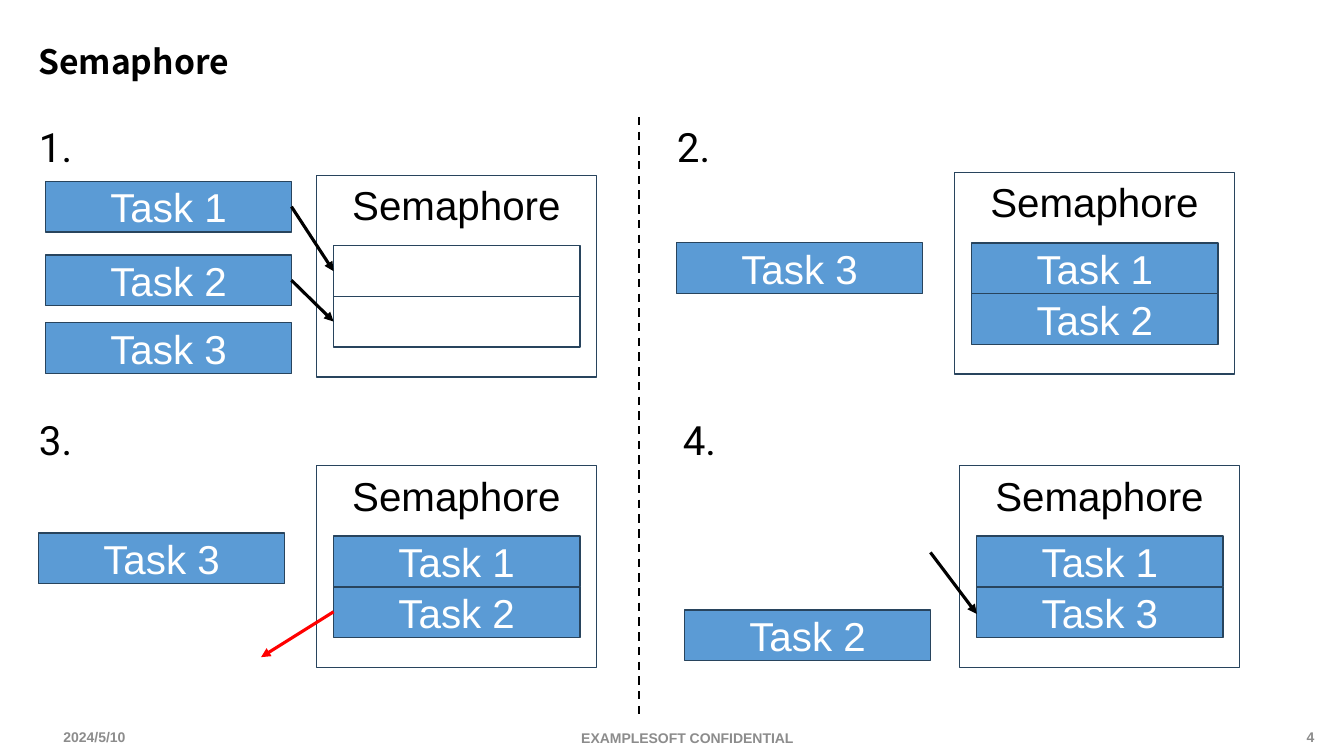
"""Build the Semaphore slide: four steps of tasks sharing two slots."""
from dataclasses import dataclass

import lxml.etree
import pptx
import pptx.dml.color
import pptx.enum.dml
import pptx.enum.shapes
import pptx.enum.text
import pptx.oxml
import pptx.oxml.ns
import pptx.presentation
import pptx.shapes.autoshape
import pptx.shapes.connector
import pptx.slide
import pptx.text.text
import pptx.util

Pt = pptx.util.Pt
Align = pptx.enum.text.PP_ALIGN
Anchor = pptx.enum.text.MSO_ANCHOR
Point = tuple[float, float]


@dataclass(frozen=True)
class Theme:
    black: str = "000000"
    white: str = "FFFFFF"
    task: str = "5B9BD5"
    outline: str = "28445D"
    release: str = "FF0000"
    muted: str = "8C8C8C"
    body_font: str = "Arial"
    title_font: str = "Noto Sans CJK KR"
    number_font: str = "Roboto"
    title_size: float = 24
    body_size: float = 28.8
    footer_size: float = 10


@dataclass(frozen=True)
class Style:
    font: str
    size: float
    color: str
    bold: bool = False
    align: Align = Align.CENTER
    anchor: Anchor = Anchor.MIDDLE


@dataclass(frozen=True)
class Caption:
    text: str
    left: float
    top: float
    width: float
    height: float
    style: Style
    wrap: bool = True


@dataclass(frozen=True)
class Task:
    name: str
    left: float
    top: float


@dataclass(frozen=True)
class Arrow:
    start: Point
    end: Point
    color: str


@dataclass(frozen=True)
class Step:
    number: str
    number_at: Point
    semaphore_at: Point
    slots: tuple[str, str]
    waiting: tuple[Task, ...]
    arrows: tuple[Arrow, ...]


THEME = Theme()
TASK_STYLE = Style(THEME.body_font, THEME.body_size, THEME.white)
SEMAPHORE_STYLE = Style(THEME.body_font, THEME.body_size, THEME.black, anchor=Anchor.TOP)
NUMBER_STYLE = Style(THEME.number_font, THEME.body_size, THEME.black, anchor=Anchor.TOP)
TITLE_STYLE = Style(THEME.title_font, THEME.title_size, THEME.black, True, Align.LEFT)
DATE_STYLE = Style(THEME.body_font, THEME.footer_size, THEME.muted, True, Align.LEFT)
NOTICE_STYLE = Style(THEME.body_font, THEME.footer_size, THEME.muted, True)
PAGE_STYLE = Style(THEME.body_font, THEME.footer_size, THEME.muted, True, Align.RIGHT)

SEMAPHORE_SIZE = (200, 144)
TASK_SIZE = (176, 36.2)
SLOT_INSET = (12.2, 50.2)
SLOT_PITCH = 36.3

CAPTIONS = (
    Caption("2024/5/10", 38.2, 517.7, 216, 18, DATE_STYLE),
    Caption("EXAMPLESOFT CONFIDENTIAL", 329, 518.4, 324, 17.3, NOTICE_STYLE),
    Caption("4", 730, 517.7, 216, 17.3, PAGE_STYLE),
    Caption("Semaphore", 20.2, 25.9, 745, 36, TITLE_STYLE),
)

STEPS = (
    Step("1.", (20.2, 83.5), (226, 125.3), ("", ""),
         (Task("Task 1", 32.4, 129.6), Task("Task 2", 32.4, 182.2), Task("Task 3", 32.4, 230.4)),
         (Arrow((208.2, 147.6), (238.3, 193.7), THEME.black),
          Arrow((208.2, 200.2), (238.3, 229.7), THEME.black))),
    Step("2.", (476, 83.5), (681.8, 123.3), ("Task 1", "Task 2"),
         (Task("Task 3", 483.1, 173.4),), ()),
    Step("3.", (20.2, 293), (226, 332.7), ("Task 1", "Task 2"),
         (Task("Task 3", 27.4, 380.8),),
         (Arrow((238.3, 437), (186.5, 469.4), THEME.release),)),
    Step("4.", (480.2, 293), (685.4, 332.7), ("Task 1", "Task 3"),
         (Task("Task 2", 488.8, 435.6),),
         (Arrow((664.6, 394.6), (697.7, 438.5), THEME.black),)),
)


def rgb(color: str) -> pptx.dml.color.RGBColor:
    """Turn a hexadecimal colour into a colour object."""
    return pptx.dml.color.RGBColor.from_string(color)


def write_text(frame: pptx.text.text.TextFrame, text: str, style: Style, wrap: bool = True) -> None:
    """Fill a text frame with one styled paragraph."""
    frame.word_wrap = wrap
    frame.vertical_anchor = style.anchor
    paragraph = frame.paragraphs[0]
    paragraph.text = text
    paragraph.alignment = style.align
    paragraph.font.name = style.font
    paragraph.font.size = Pt(style.size)
    paragraph.font.bold = style.bold
    paragraph.font.color.rgb = rgb(style.color)


def add_caption(slide: pptx.slide.Slide, caption: Caption) -> None:
    """Add a text box."""
    bounds = (caption.left, caption.top, caption.width, caption.height)
    box = slide.shapes.add_textbox(*map(Pt, bounds))
    write_text(box.text_frame, caption.text, caption.style, caption.wrap)


def add_box(slide: pptx.slide.Slide, at: Point, size: Point, fill: str, text: str, style: Style) -> None:
    """Add an outlined rectangle with an optional text."""
    shape = slide.shapes.add_shape(
        pptx.enum.shapes.MSO_SHAPE.RECTANGLE, *map(Pt, at + size))
    shape.shadow.inherit = False
    shape.fill.solid()
    shape.fill.fore_color.rgb = rgb(fill)
    shape.line.color.rgb = rgb(THEME.outline)
    shape.line.width = Pt(1)
    if text:
        write_text(shape.text_frame, text, style)


def add_line(slide: pptx.slide.Slide, start: Point, end: Point, color: str,
             width: float) -> pptx.shapes.connector.Connector:
    """Add a straight connector without a shadow."""
    line = slide.shapes.add_connector(
        pptx.enum.shapes.MSO_CONNECTOR.STRAIGHT, *map(Pt, start + end))
    line.line.color.rgb = rgb(color)
    line.line.width = Pt(width)
    lxml.etree.SubElement(line._element.spPr, pptx.oxml.ns.qn("a:effectLst"))
    return line


def add_arrow(slide: pptx.slide.Slide, arrow: Arrow) -> None:
    """Add a connector with a triangular head at its end."""
    line = add_line(slide, arrow.start, arrow.end, arrow.color, 2.25)
    outline = line.line._get_or_add_ln()
    lxml.etree.SubElement(outline, pptx.oxml.ns.qn("a:tailEnd"), type="triangle")


def add_step(slide: pptx.slide.Slide, step: Step) -> None:
    """Draw one numbered step with its semaphore, tasks and arrows."""
    left, top = step.semaphore_at
    add_caption(slide, Caption(step.number, *step.number_at, 38.9, 42.5, NUMBER_STYLE, False))
    add_box(slide, step.semaphore_at, SEMAPHORE_SIZE, THEME.white, "Semaphore", SEMAPHORE_STYLE)
    for index, name in enumerate(step.slots):
        slot_at = (left + SLOT_INSET[0], top + SLOT_INSET[1] + index * SLOT_PITCH)
        add_box(slide, slot_at, TASK_SIZE, THEME.task if name else THEME.white, name, TASK_STYLE)
    for task in step.waiting:
        add_box(slide, (task.left, task.top), TASK_SIZE, THEME.task, task.name, TASK_STYLE)
    for arrow in step.arrows:
        add_arrow(slide, arrow)


def main() -> None:
    """Build and save the presentation."""
    presentation = pptx.Presentation()
    presentation.slide_width, presentation.slide_height = Pt(960), Pt(540)
    slide = presentation.slides.add_slide(presentation.slide_layouts[6])
    for caption in CAPTIONS:
        add_caption(slide, caption)
    for step in STEPS:
        add_step(slide, step)
    divider = add_line(slide, (456.5, 83.5), (456.5, 512.6), THEME.black, 1.5)
    divider.line.dash_style = pptx.enum.dml.MSO_LINE.DASH
    presentation.save("out.pptx")


if __name__ == "__main__":
    main()
